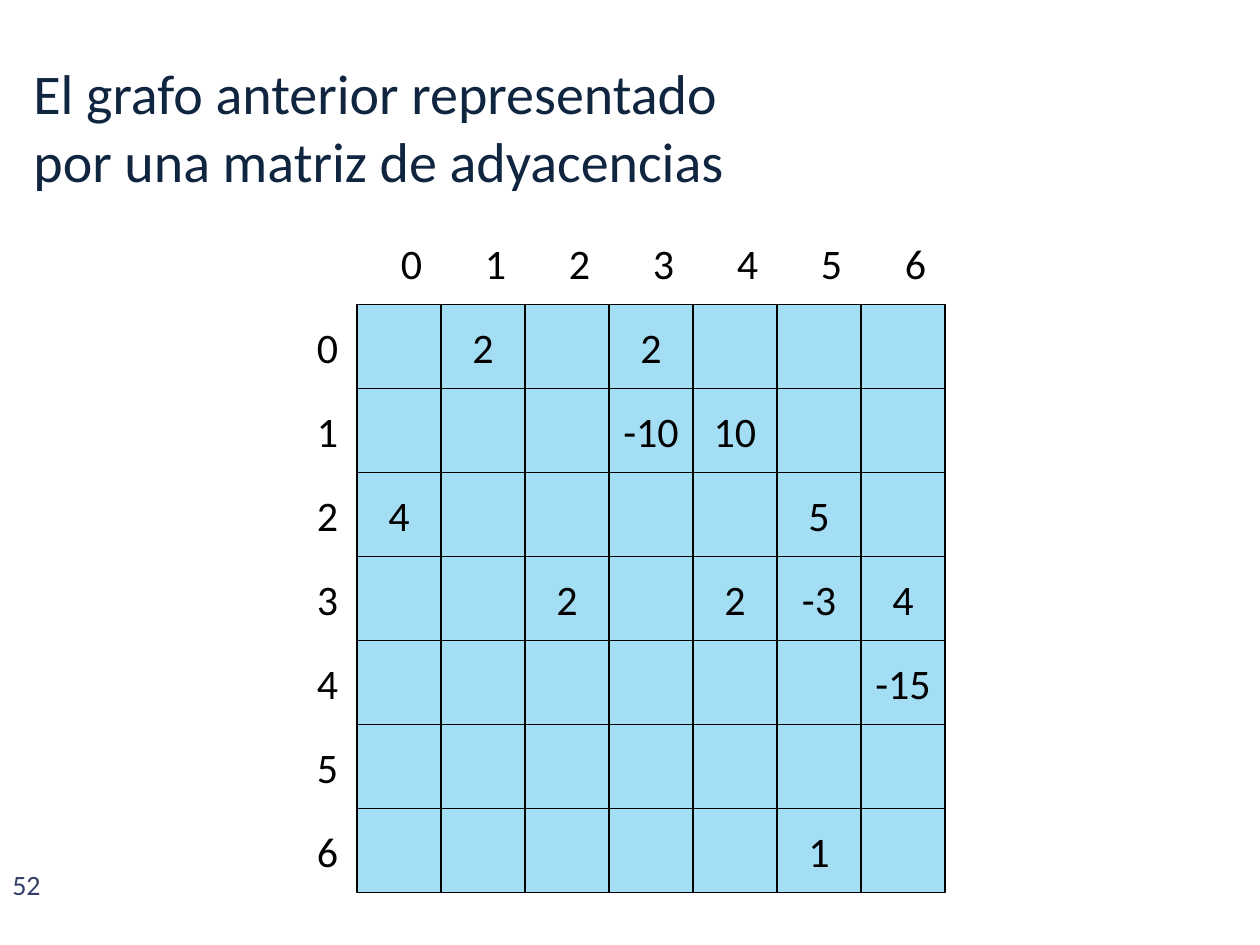
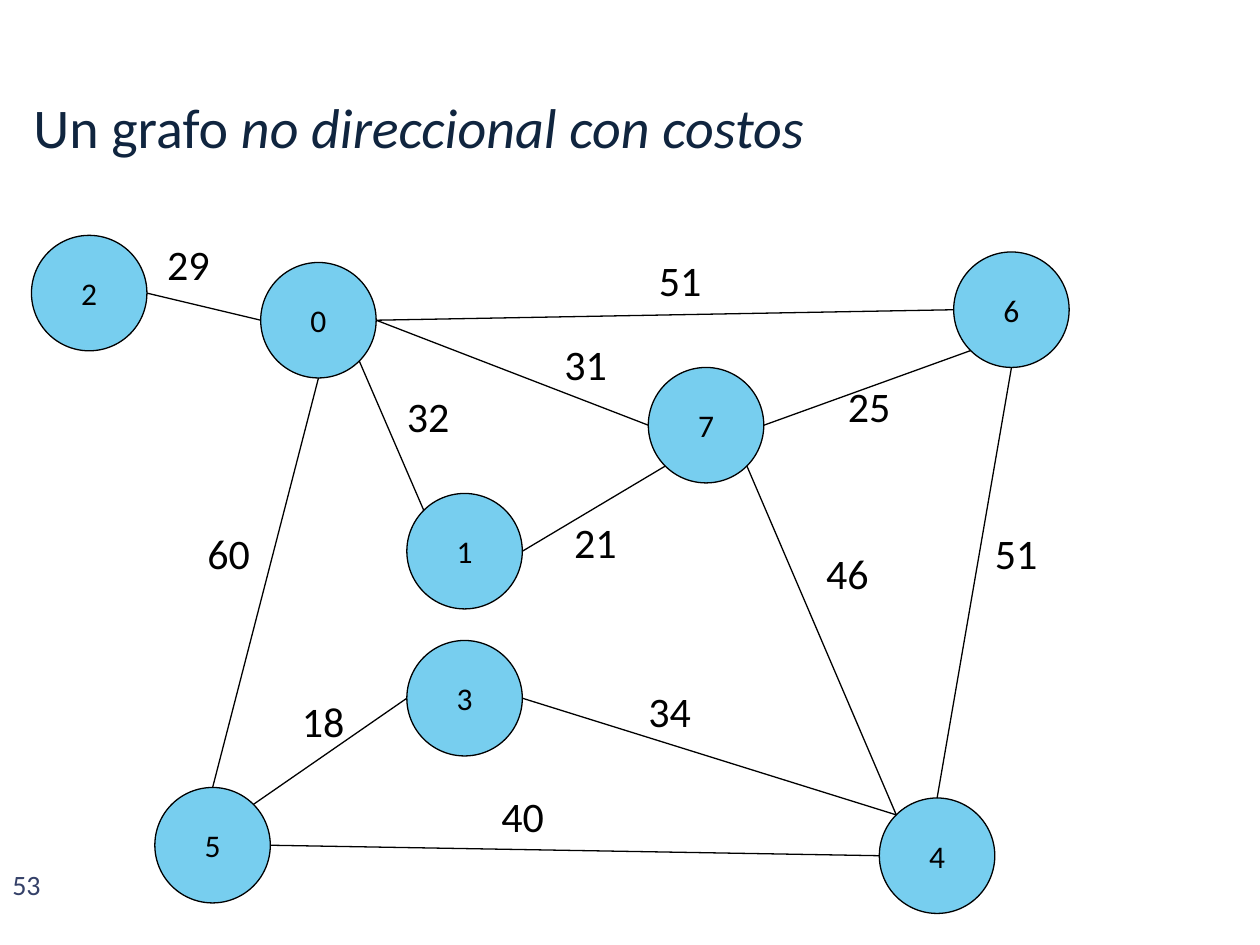
from math import cos, pi, sin

from lxml.etree import SubElement
from pptx import Presentation
from pptx.dml.color import RGBColor
from pptx.enum.shapes import MSO_CONNECTOR as Connector, MSO_SHAPE as Preset
from pptx.enum.text import MSO_ANCHOR as Anchor, MSO_AUTO_SIZE as AutoSize, PP_ALIGN as Align
from pptx.oxml.ns import qn
from pptx.util import Pt

COLORS = {
    "title": "10253F",
    "page": "344068",
    "ink": "000000",
    "cell": "A4DEF4",
    "node": "77CEEF",
}
FONT = "Calibri"
LINE_WIDTH = 0.75

VERTICES = 7
CELL = 48
MATRIX_LEFT, MATRIX_TOP = 204, 174
# (row, column): cost
COSTS = {
    (0, 1): 2, (0, 3): 2,
    (1, 3): -10, (1, 4): 10,
    (2, 0): 4, (2, 5): 5,
    (3, 2): 2, (3, 4): 2, (3, 5): -3, (3, 6): 4,
    (4, 6): -15,
    (6, 5): 1,
}

DIAMETER = 66
# vertex: left and top of its circle
NODES = {
    0: (149, 150), 4: (502.5, 456), 3: (232.5, 366), 5: (88.5, 450),
    1: (232.5, 282), 7: (370.5, 210), 6: (545, 144), 2: (18, 134.5),
}
# Connection sites of a circle, counterclockwise from the top
TOP, TOP_LEFT, LEFT, BOTTOM_LEFT, BOTTOM, BOTTOM_RIGHT, RIGHT, TOP_RIGHT = range(8)
# start vertex, its site, end vertex, its site, cost, left and top of the cost
EDGES = [
    (0, LEFT, 2, RIGHT, 29, 88.5, 133),
    (0, RIGHT, 6, LEFT, 51, 369.5, 142),
    (0, RIGHT, 7, LEFT, 31, 315.5, 190),
    (0, BOTTOM_RIGHT, 1, TOP_LEFT, 32, 225.5, 219.5),
    (0, BOTTOM, 5, TOP, 60, 111.5, 298),
    (5, TOP_RIGHT, 3, LEFT, 18, 165.5, 394),
    (3, RIGHT, 4, TOP_LEFT, 34, 363.5, 388),
    (5, RIGHT, 4, LEFT, 40, 279.5, 448),
    (1, RIGHT, 7, BOTTOM_LEFT, 21, 321, 291.5),
    (7, RIGHT, 6, BOTTOM_LEFT, 25, 477.5, 214),
    (7, BOTTOM_RIGHT, 4, TOP_LEFT, 46, 465, 309.5),
    (6, BOTTOM, 4, TOP, 51, 561.5, 298),
]


def rgb(name):
    return RGBColor.from_string(COLORS[name])


def add_run(paragraph, text, size, color="ink", italic=None):
    run = paragraph.add_run()
    run.text = str(text)
    run.font.name = FONT
    run.font.size = Pt(size)
    run.font.italic = italic
    run.font.color.rgb = rgb(color)


def add_frame(slide, left, top, width, height, wrap=True):
    box = slide.shapes.add_textbox(Pt(left), Pt(top), Pt(width), Pt(height))
    box.text_frame.word_wrap = wrap
    return box.text_frame


def add_label(slide, text, left, top, width):
    frame = add_frame(slide, left, top, width, 36.5, wrap=False)
    frame.auto_size = AutoSize.SHAPE_TO_FIT_TEXT
    add_run(frame.paragraphs[0], text, 24)


def add_figure(slide, preset, left, top, side, fill, text, size):
    """Add an outlined square or circle with its text in the centre."""
    figure = slide.shapes.add_shape(preset, Pt(left), Pt(top), Pt(side), Pt(side))
    figure.shadow.inherit = False
    figure.fill.solid()
    figure.fill.fore_color.rgb = rgb(fill)
    figure.line.color.rgb = rgb("ink")
    figure.line.width = Pt(LINE_WIDTH)
    if text is not None:
        frame = figure.text_frame
        frame.word_wrap = False
        frame.vertical_anchor = Anchor.MIDDLE
        frame.paragraphs[0].alignment = Align.CENTER
        add_run(frame.paragraphs[0], text, size)
    return figure


def site_point(vertex, site):
    """Return the position of a connection site on a vertex's circle."""
    angle = site * pi / 4
    radius = DIAMETER / 2
    left, top = NODES[vertex]
    return Pt(left + radius - radius * sin(angle)), Pt(top + radius - radius * cos(angle))


def add_edge(slide, circles, start, start_site, end, end_site):
    edge = slide.shapes.add_connector(
        Connector.STRAIGHT, *site_point(start, start_site), *site_point(end, end_site))
    edge.line.color.rgb = rgb("ink")
    edge.line.width = Pt(LINE_WIDTH)
    SubElement(edge._element.spPr, qn("a:effectLst"))
    # begin_connect() knows only four sites, and a circle has eight
    links = edge._element.nvCxnSpPr.cNvCxnSpPr
    for tag, vertex, site in (("a:stCxn", start, start_site), ("a:endCxn", end, end_site)):
        SubElement(links, qn(tag), id=str(circles[vertex].shape_id), idx=str(site))


def start_slide(deck, number, title_lines):
    """Add a slide with its page number and title; a line is a list of (text, italic)."""
    slide = deck.slides.add_slide(deck.slide_layouts[6])
    page = add_frame(slide, 0, 492, 42, 30)
    add_run(page.paragraphs[0], number, 16, "page")

    title = add_frame(slide, 12, 24, 696, 96)
    title.vertical_anchor = Anchor.MIDDLE
    paragraph = title.paragraphs[0]
    for index, line in enumerate(title_lines):
        if index:
            paragraph.add_line_break()
        for text, italic in line:
            add_run(paragraph, text, 32, "title", italic)
    return slide


def draw_matrix(slide):
    for row in range(VERTICES):
        offset = row * CELL
        add_label(slide, row, MATRIX_LEFT - 30, MATRIX_TOP + 6 + offset, 26.5)
        add_label(slide, row, MATRIX_LEFT + 18 + offset, MATRIX_TOP - 42, 26.5)
        for column in range(VERTICES):
            add_figure(slide, Preset.RECTANGLE, MATRIX_LEFT + column * CELL,
                       MATRIX_TOP + offset, CELL, "cell", COSTS.get((row, column)), 24)


def draw_graph(slide):
    circles = {
        vertex: add_figure(slide, Preset.OVAL, left, top, DIAMETER, "node", vertex, 18)
        for vertex, (left, top) in NODES.items()
    }
    for *ends, cost, left, top in EDGES:
        add_edge(slide, circles, *ends)
        add_label(slide, cost, left, top, 39)


def main():
    deck = Presentation()
    deck.slide_width, deck.slide_height = Pt(720), Pt(540)
    draw_matrix(start_slide(deck, 52, [
        [("El grafo anterior representado", None)],
        [("por una matriz de adyacencias", None)],
    ]))
    draw_graph(start_slide(deck, 53, [
        [("Un grafo ", None), ("no direccional con costos", True)],
    ]))
    deck.save("out.pptx")


if __name__ == "__main__":
    main()
